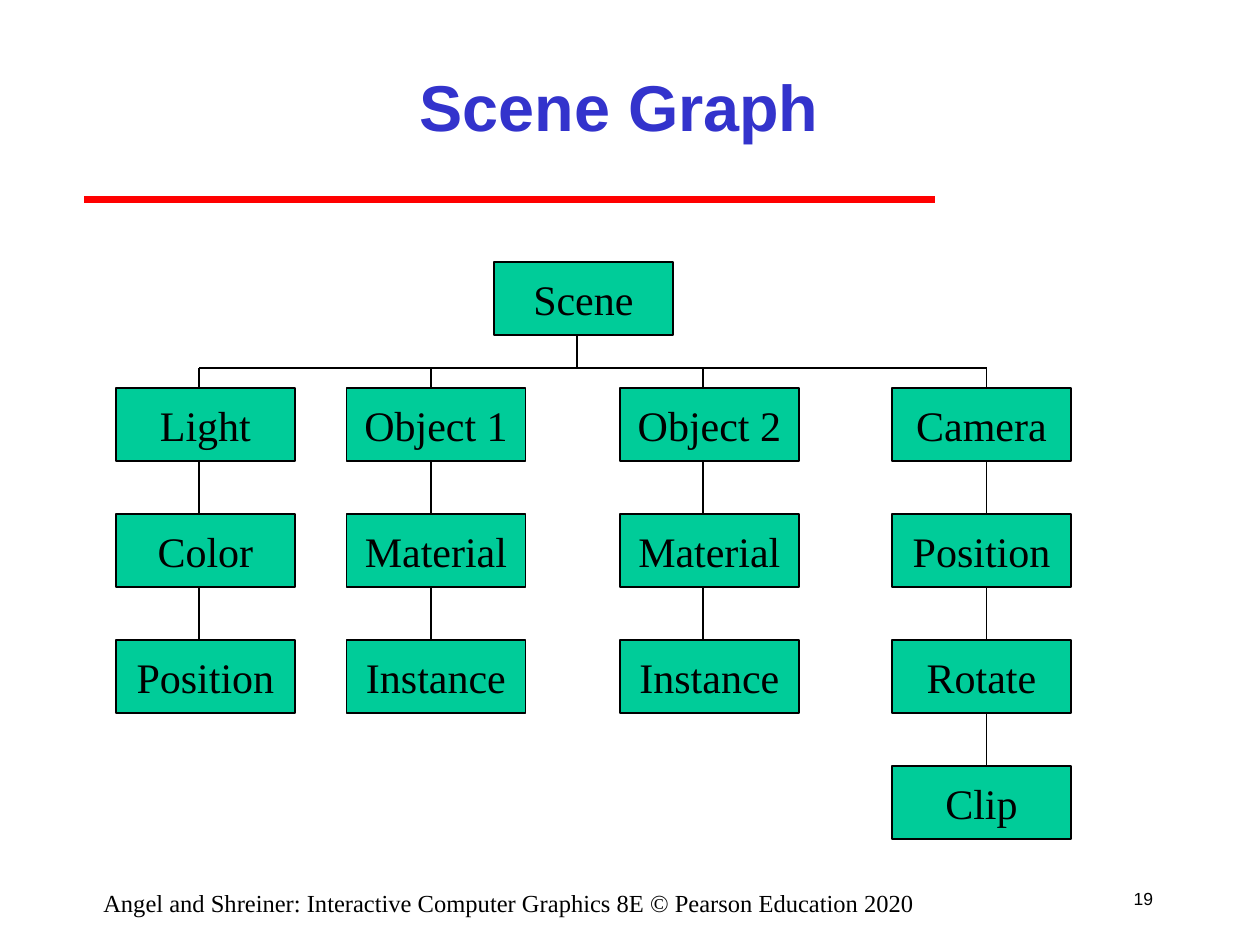
from lxml import etree
from pptx import Presentation
from pptx.dml.color import RGBColor
from pptx.enum.shapes import MSO_CONNECTOR, MSO_SHAPE
from pptx.enum.text import MSO_ANCHOR, PP_ALIGN
from pptx.oxml.ns import qn
from pptx.util import Inches, Pt

TITLE = "Scene Graph"
FOOTER = "Angel and Shreiner: Interactive Computer Graphics 8E © Pearson Education 2020"
PAGE_NUMBER = "19"
ROOT = "Scene"
BRANCHES = [
    {"left": 0.92, "stem": 1.58, "nodes": ["Light", "Color", "Position"]},
    {"left": 2.75, "stem": 3.42, "nodes": ["Object 1", "Material", "Instance"]},
    {"left": 4.92, "stem": 5.58, "nodes": ["Object 2", "Material", "Instance"]},
    {"left": 7.08, "stem": 7.83, "nodes": ["Camera", "Position", "Rotate", "Clip"]},
]
COLORS = {"title": "3333CC", "rule": "FF0000", "node": "00CC99", "ink": "000000"}
SERIF, SANS = "Times New Roman", "Arial"
NODE_WIDTH, NODE_HEIGHT = 1.42, 0.58
ROOT_LEFT, ROOT_TOP, ROOT_STEM = 3.92, 2.08, 4.58
ROW_STEP, BUS_Y = 1, 2.92


def color(name):
    return RGBColor.from_string(COLORS[name])


def write(shape, text, size, font, ink="ink", align=PP_ALIGN.CENTER,
          anchor=MSO_ANCHOR.MIDDLE, bold=False, wrap=True):
    frame = shape.text_frame
    frame.text = text
    frame.word_wrap = wrap
    frame.vertical_anchor = anchor
    paragraph = frame.paragraphs[0]
    paragraph.alignment = align
    run_font = paragraph.runs[0].font
    run_font.name, run_font.size, run_font.bold = font, Pt(size), bold
    run_font.color.rgb = color(ink)


def add_text(slide, box, text, size, font, **style):
    shape = slide.shapes.add_textbox(*map(Inches, box))
    write(shape, text, size, font, **style)


def add_line(slide, start, end, ink="ink", width=1):
    line = slide.shapes.add_connector(
        MSO_CONNECTOR.STRAIGHT, *map(Inches, (*start, *end)))
    line.line.color.rgb = color(ink)
    line.line.width = Pt(width)
    etree.SubElement(line._element.spPr, qn("a:effectLst"))


def add_node(slide, left, top, text):
    shape = slide.shapes.add_shape(
        MSO_SHAPE.RECTANGLE, *map(Inches, (left, top, NODE_WIDTH, NODE_HEIGHT)))
    shape.shadow.inherit = False
    shape.fill.solid()
    shape.fill.fore_color.rgb = color("node")
    shape.line.color.rgb = color("ink")
    shape.line.width = Pt(1)
    write(shape, text, 24, SERIF, wrap=False)


def add_graph(slide):
    add_node(slide, ROOT_LEFT, ROOT_TOP, ROOT)
    add_line(slide, (ROOT_STEM, ROOT_TOP + NODE_HEIGHT), (ROOT_STEM, BUS_Y))
    add_line(slide, (BRANCHES[0]["stem"], BUS_Y), (BRANCHES[-1]["stem"], BUS_Y))
    for branch in BRANCHES:
        stem, line_top = branch["stem"], BUS_Y
        for row, text in enumerate(branch["nodes"], start=1):
            top = ROOT_TOP + row * ROW_STEP
            add_line(slide, (stem, line_top), (stem, top))
            add_node(slide, branch["left"], top, text)
            line_top = top + NODE_HEIGHT


def main():
    presentation = Presentation()
    presentation.slide_width, presentation.slide_height = Inches(10), Inches(7.5)
    slide = presentation.slides.add_slide(presentation.slide_layouts[6])
    add_line(slide, (0.67, 1.58), (7.42, 1.58), "rule", 4)
    add_text(slide, (1.5, 0.25, 6.83, 1.17), TITLE, 37, SANS, ink="title", bold=True)
    add_graph(slide)
    add_text(slide, (0.5, 7, 7.08, 0.25), FOOTER, 14, SERIF, anchor=MSO_ANCHOR.TOP)
    add_text(slide, (8.83, 6.92, 0.42, 0.42), PAGE_NUMBER, 10, SANS,
             align=PP_ALIGN.RIGHT, wrap=False)
    presentation.save("out.pptx")


if __name__ == "__main__":
    main()
